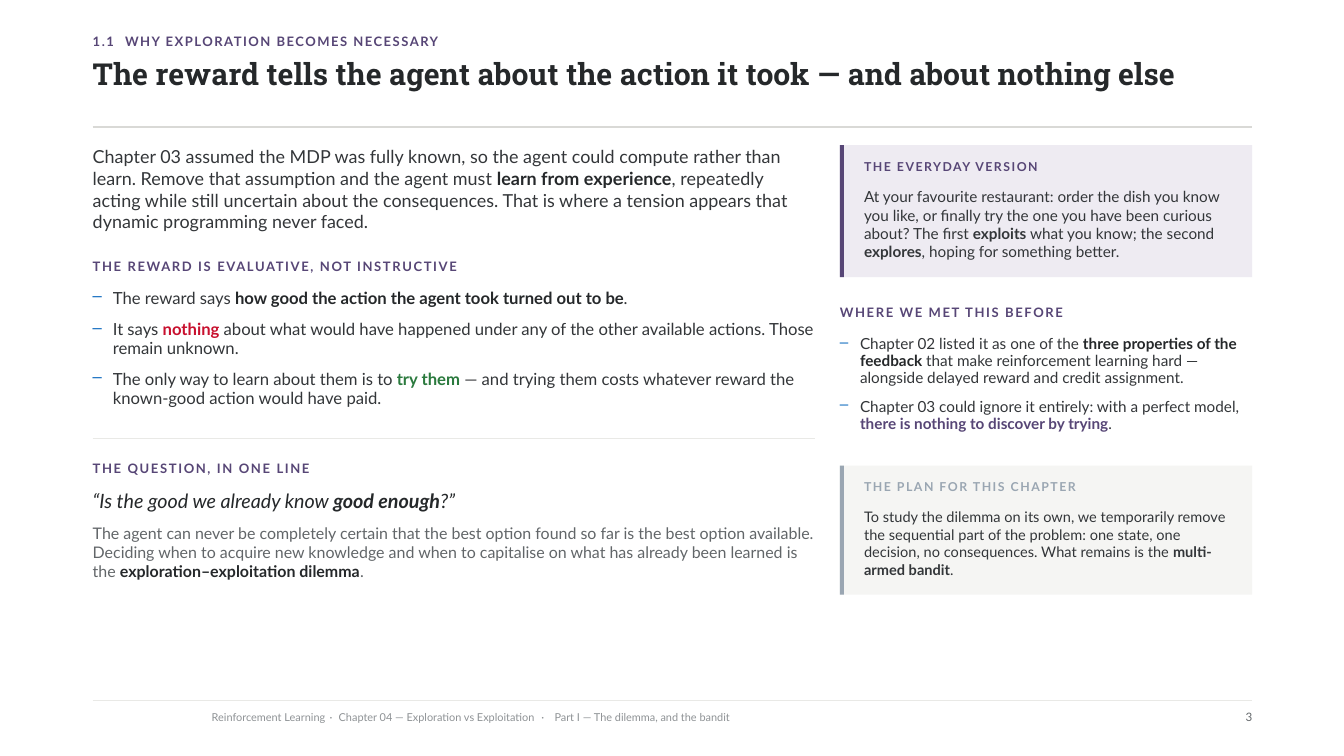
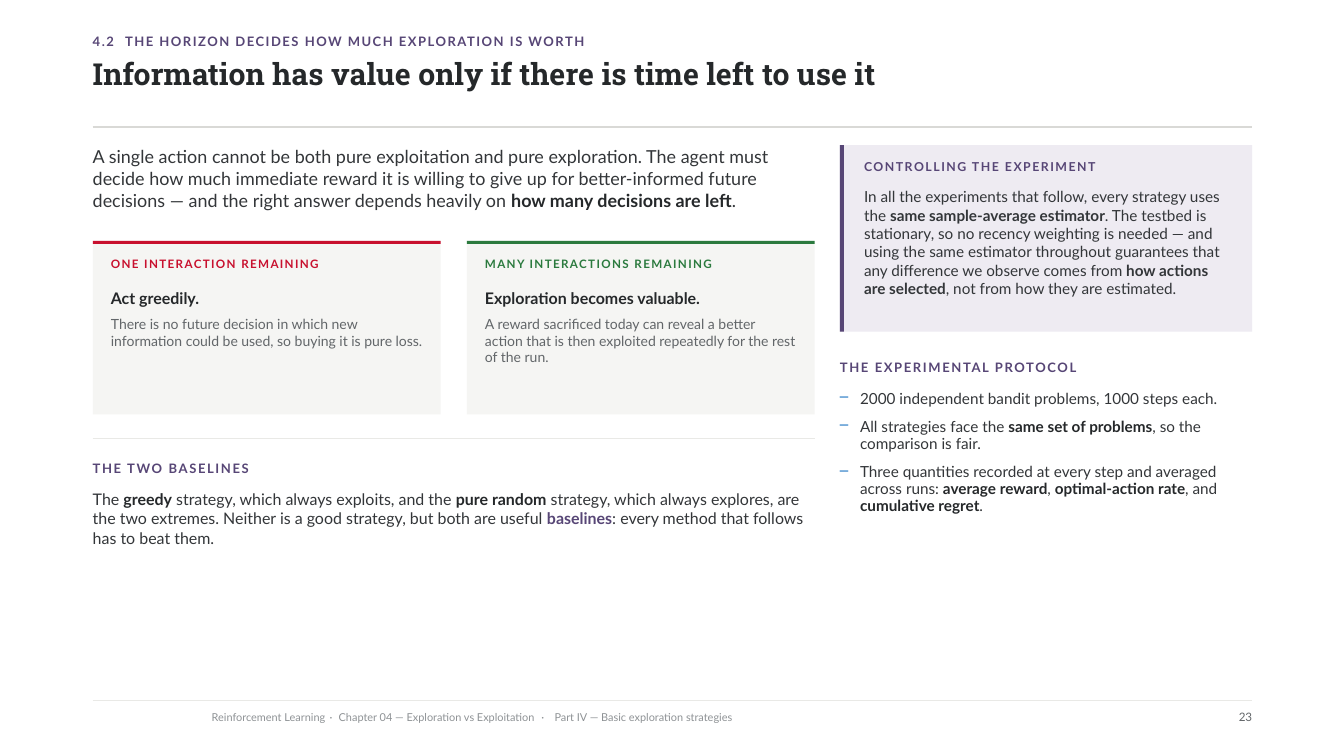
from dataclasses import dataclass

from lxml.etree import SubElement
from pptx import Presentation
from pptx.dml.color import RGBColor
from pptx.enum.shapes import MSO_CONNECTOR as Connector, MSO_SHAPE as Shape
from pptx.enum.text import MSO_AUTO_SIZE as AutoSize, PP_ALIGN as Align
from pptx.oxml.ns import qn
from pptx.util import Emu, Pt

EMU_PER_PX = 9144  # 100 px to the inch
SLIDE_WIDTH, SLIDE_HEIGHT = 1333, 750
LEFT, WIDTH = 92, 1150
MAIN_WIDTH, COLUMN_GAP, CARD_GAP = 716, 25, 26
SIDE_LEFT = LEFT + MAIN_WIDTH + COLUMN_GAP
SIDE_WIDTH = WIDTH - MAIN_WIDTH - COLUMN_GAP
CONTENT_TOP = 144
KICKER_TABS = (32,)
FOOTER_TABS = (117, 126, 327, 340)
BULLET_INDENT = 20


@dataclass(frozen=True)
class TextStyle:
    """Type of one paragraph; strong is the default colour of bold runs."""
    size: float
    leading: float
    colour: str = "body"
    strong: str = "ink"
    font: str = "Lato"
    bold: bool = False
    italic: bool = False
    tracking: float = 0
    before: float = 0
    bullet: bool = False
    align: Align = Align.LEFT


class Theme:
    colours = {
        "ink": "25282A", "body": "333639", "muted": "626669", "faint": "8E9295",
        "purple": "574676", "lilac": "EEEBF2", "paper": "F5F5F3", "steel": "9AA6B2",
        "red": "C8102E", "green": "2B7A3E", "blue": "1971C2",
        "rule": "D9D9D6", "light_rule": "E9E9E6", "white": "FFFFFF",
    }
    styles = {
        "kicker": TextStyle(9.3, 9.3, "purple", bold=True, tracking=1.1),
        "title": TextStyle(21.6, 22.5, "ink", font="Roboto Slab", bold=True),
        "footer": TextStyle(7.8, 7.8, "faint"),
        "number": TextStyle(8.3, 8.3, "muted", align=Align.RIGHT),
        "lead": TextStyle(12.8, 15.6),
        "heading": TextStyle(9.3, 9.3, "purple", bold=True, tracking=1.2),
        "bullet": TextStyle(11.9, 13.3, before=9, bullet=True),
        "side_bullet": TextStyle(10.9, 12.2, before=8, bullet=True),
        "quote": TextStyle(14.1, 16.6, "ink", italic=True),
        "remark": TextStyle(11.4, 13.7, "muted", before=8),
        "text": TextStyle(11.4, 13.9),
        "callout_head": TextStyle(8.8, 8.8, bold=True, tracking=1.1),
        "callout": TextStyle(10.9, 13.1, strong="body"),
        "small_callout": TextStyle(10.4, 12.5, strong="body"),
        "card_head": TextStyle(8.3, 8.3, bold=True, tracking=1),
        "card_claim": TextStyle(11.4, 13, "ink", bold=True),
        "card_text": TextStyle(10, 11.8, "muted", before=6),
    }

    def rgb(self, name):
        return RGBColor.from_string(self.colours[name])


def px(*lengths):
    return [Emu(length * EMU_PER_PX) for length in lengths]


def apply(target, **values):
    for name, value in values.items():
        setattr(target, name, value)


class Deck:
    def __init__(self, theme):
        self.theme = theme
        self.presentation = Presentation()
        width, height = px(SLIDE_WIDTH, SLIDE_HEIGHT)
        apply(self.presentation, slide_width=width, slide_height=height)
        self.slide = None

    def start_slide(self, section, kicker, title, part, number):
        self.slide = self.presentation.slides.add_slide(self.presentation.slide_layouts[6])
        fill = self.slide.background.fill
        fill.solid()
        fill.fore_color.rgb = self.theme.rgb("white")
        self.text((LEFT, 36, WIDTH, 22), ("kicker", f"{section}\t{kicker}"), tabs=KICKER_TABS)
        self.text((LEFT, 60, WIDTH, 52), ("title", title))
        self.rule(126, WIDTH, "rule")
        self.rule(695, WIDTH)
        footer = "\t·\t".join(("Reinforcement Learning",
                               "Chapter 04 — Exploration vs Exploitation", part))
        self.text((210, 707, 910, 22), ("footer", footer), tabs=FOOTER_TABS)
        self.text((LEFT + WIDTH - 120, 707, 120, 22), ("number", str(number)))

    def rule(self, top, width, colour="light_rule"):
        line = self.slide.shapes.add_connector(
            Connector.STRAIGHT, *px(LEFT, top, LEFT + width, top))
        line.line.width = Pt(0.75)
        line.line.color.rgb = self.theme.rgb(colour)
        SubElement(line._element.spPr, qn("a:effectLst"))

    def block(self, box, colour):
        shape = self.slide.shapes.add_shape(Shape.RECTANGLE, *px(*box))
        shape.shadow.inherit = False
        shape.fill.solid()
        shape.fill.fore_color.rgb = self.theme.rgb(colour)
        shape.line.fill.background()

    def text(self, box, *paragraphs, tabs=(), colour=None):
        """Each paragraph is (style name, run, ...); see add_run for the runs."""
        frame = self.slide.shapes.add_textbox(*px(*box)).text_frame
        apply(frame, word_wrap=True, auto_size=AutoSize.NONE, margin_left=0,
              margin_top=0, margin_right=0, margin_bottom=0)
        for index, (style_name, *runs) in enumerate(paragraphs):
            style = self.theme.styles[style_name]
            paragraph = frame.add_paragraph() if index else frame.paragraphs[0]
            apply(paragraph, alignment=style.align, line_spacing=Pt(style.leading),
                  space_before=Pt(style.before if index else 0))
            if style.bullet:
                self.add_bullet(paragraph)
            if tabs:
                self.add_tabs(paragraph, tabs)
            for run in runs:
                self.add_run(paragraph, style, run, colour or style.colour)

    def add_bullet(self, paragraph):
        properties = paragraph._p.get_or_add_pPr()
        indent = BULLET_INDENT * EMU_PER_PX
        properties.set("marL", str(indent))
        properties.set("indent", str(-indent))
        bullet_colour = SubElement(properties, qn("a:buClr"))
        SubElement(bullet_colour, qn("a:srgbClr"), val=self.theme.colours["blue"])
        SubElement(properties, qn("a:buChar"), char="–")

    def add_tabs(self, paragraph, positions):
        tab_list = SubElement(paragraph._p.get_or_add_pPr(), qn("a:tabLst"))
        for position in positions:
            SubElement(tab_list, qn("a:tab"), pos=str(position * EMU_PER_PX), algn="l")

    def add_run(self, paragraph, style, content, colour):
        """A string is plain; a tuple (text,) or (text, colour) is bold."""
        bold = style.bold
        if isinstance(content, tuple):
            content, colour = (*content, style.strong)[:2]
            bold = True
        run = paragraph.add_run()
        run.text = content
        apply(run.font, name=style.font, size=Pt(style.size), bold=bold, italic=style.italic)
        run.font.color.rgb = self.theme.rgb(colour)
        if style.tracking:
            run._r.get_or_add_rPr().set("spc", str(round(style.tracking * 100)))

    def lead(self, height, *runs):
        self.text((LEFT, CONTENT_TOP, MAIN_WIDTH, height), ("lead", *runs))

    def section(self, left, top, width, heading, height, *paragraphs, offset=28):
        self.text((left, top, width, 20), ("heading", heading))
        self.text((left, top + offset, width, height), *paragraphs)

    def lower_section(self, heading, height, *paragraphs):
        """Section at the foot of the main column, under a thin rule."""
        self.rule(435, MAIN_WIDTH)
        self.section(LEFT, 459, MAIN_WIDTH, heading, height, *paragraphs, offset=26)

    def callout(self, top, height, heading, paragraph, fill="lilac", accent="purple"):
        self.block((SIDE_LEFT, top, SIDE_WIDTH, height), fill)
        self.block((SIDE_LEFT, top, 4, height), accent)
        left, width = SIDE_LEFT + 24, 366
        self.text((left, top + 16, width, 20), ("callout_head", heading), colour=accent)
        self.text((left, top + 42, width, height - 58), paragraph)

    def card(self, column, accent, heading, claim, explanation):
        width = (MAIN_WIDTH - CARD_GAP) // 2
        left, top = LEFT + column * (width + CARD_GAP), 239
        self.block((left, top, width, 172), "paper")
        self.block((left, top, width, 3), accent)
        left, width = left + 18, width - 36
        self.text((left, top + 18, width, 24), ("card_head", heading), colour=accent)
        self.text((left, top + 48, width, 79), ("card_claim", claim), ("card_text", explanation))


def build_reward_slide(deck):
    deck.start_slide("1.1", "WHY EXPLORATION BECOMES NECESSARY",
                     "The reward tells the agent about the action it took — and about nothing else",
                     "Part I — The dilemma, and the bandit", 3)
    deck.lead(91, "Chapter 03 assumed the MDP was fully known, so the agent could compute rather "
              "than learn. Remove that assumption and the agent must ",
              ("learn from experience",),
              ", repeatedly acting while still uncertain about the consequences. That is where "
              "a tension appears that dynamic programming never faced.")
    deck.section(
        LEFT, 259, MAIN_WIDTH, "THE REWARD IS EVALUATIVE, NOT INSTRUCTIVE", 122,
        ("bullet", "The reward says ",
         ("how good the action the agent took turned out to be",), "."),
        ("bullet", "It says ", ("nothing", "red"),
         " about what would have happened under any of the other available actions. "
         "Those remain unknown."),
        ("bullet", "The only way to learn about them is to ", ("try them", "green"),
         " — and trying them costs whatever reward the known-good action would have paid."))
    deck.lower_section(
        "THE QUESTION, IN ONE LINE", 95,
        ("quote", "“Is the good we already know ", ("good enough",), "?”"),
        ("remark", "The agent can never be completely certain that the best option found so far "
         "is the best option available. Deciding when to acquire new knowledge and when to "
         "capitalise on what has already been learned is the ",
         ("exploration–exploitation dilemma",), "."))
    deck.callout(
        CONTENT_TOP, 131, "THE EVERYDAY VERSION",
        ("callout", "At your favourite restaurant: order the dish you know you like, or finally "
         "try the one you have been curious about? The first ", ("exploits",),
         " what you know; the second ", ("explores",), ", hoping for something better."))
    deck.section(
        SIDE_LEFT, 305, SIDE_WIDTH, "WHERE WE MET THIS BEFORE", 101,
        ("side_bullet", "Chapter 02 listed it as one of the ",
         ("three properties of the feedback",),
         " that make reinforcement learning hard — alongside delayed reward and credit "
         "assignment."),
        ("side_bullet", "Chapter 03 could ignore it entirely: with a perfect model, ",
         ("there is nothing to discover by trying", "purple"), "."))
    deck.callout(
        462, 128, "THE PLAN FOR THIS CHAPTER",
        ("small_callout", "To study the dilemma on its own, we temporarily remove the sequential "
         "part of the problem: one state, one decision, no consequences. What remains is the ",
         ("multi-armed bandit",), "."),
        fill="paper", accent="steel")


def build_horizon_slide(deck):
    deck.start_slide("4.2", "THE HORIZON DECIDES HOW MUCH EXPLORATION IS WORTH",
                     "Information has value only if there is time left to use it",
                     "Part IV — Basic exploration strategies", 23)
    deck.lead(69, "A single action cannot be both pure exploitation and pure exploration. The "
              "agent must decide how much immediate reward it is willing to give up for "
              "better-informed future decisions — and the right answer depends heavily on ",
              ("how many decisions are left",), ".")
    deck.card(0, "red", "ONE INTERACTION REMAINING", "Act greedily.",
              "There is no future decision in which new information could be used, so buying it "
              "is pure loss.")
    deck.card(1, "green", "MANY INTERACTIONS REMAINING", "Exploration becomes valuable.",
              "A reward sacrificed today can reveal a better action that is then exploited "
              "repeatedly for the rest of the run.")
    deck.lower_section(
        "THE TWO BASELINES", 62,
        ("text", "The ", ("greedy",), " strategy, which always exploits, and the ",
         ("pure random",), " strategy, which always explores, are the two extremes. Neither is "
         "a good strategy, but both are useful ", ("baselines", "purple"),
         ": every method that follows has to beat them."))
    deck.callout(
        CONTENT_TOP, 185, "CONTROLLING THE EXPERIMENT",
        ("callout", "In all the experiments that follow, every strategy uses the ",
         ("same sample-average estimator",),
         ". The testbed is stationary, so no recency weighting is needed — and using the same "
         "estimator throughout guarantees that any difference we observe comes from ",
         ("how actions are selected",), ", not from how they are estimated."))
    deck.section(
        SIDE_LEFT, 359, SIDE_WIDTH, "THE EXPERIMENTAL PROTOCOL", 129,
        ("side_bullet", "2000 independent bandit problems, 1000 steps each."),
        ("side_bullet", "All strategies face the ", ("same set of problems",),
         ", so the comparison is fair."),
        ("side_bullet", "Three quantities recorded at every step and averaged across runs: ",
         ("average reward",), ", ", ("optimal-action rate",), ", and ",
         ("cumulative regret",), "."))


def main():
    deck = Deck(Theme())
    build_reward_slide(deck)
    build_horizon_slide(deck)
    deck.presentation.save("out.pptx")


if __name__ == "__main__":
    main()
